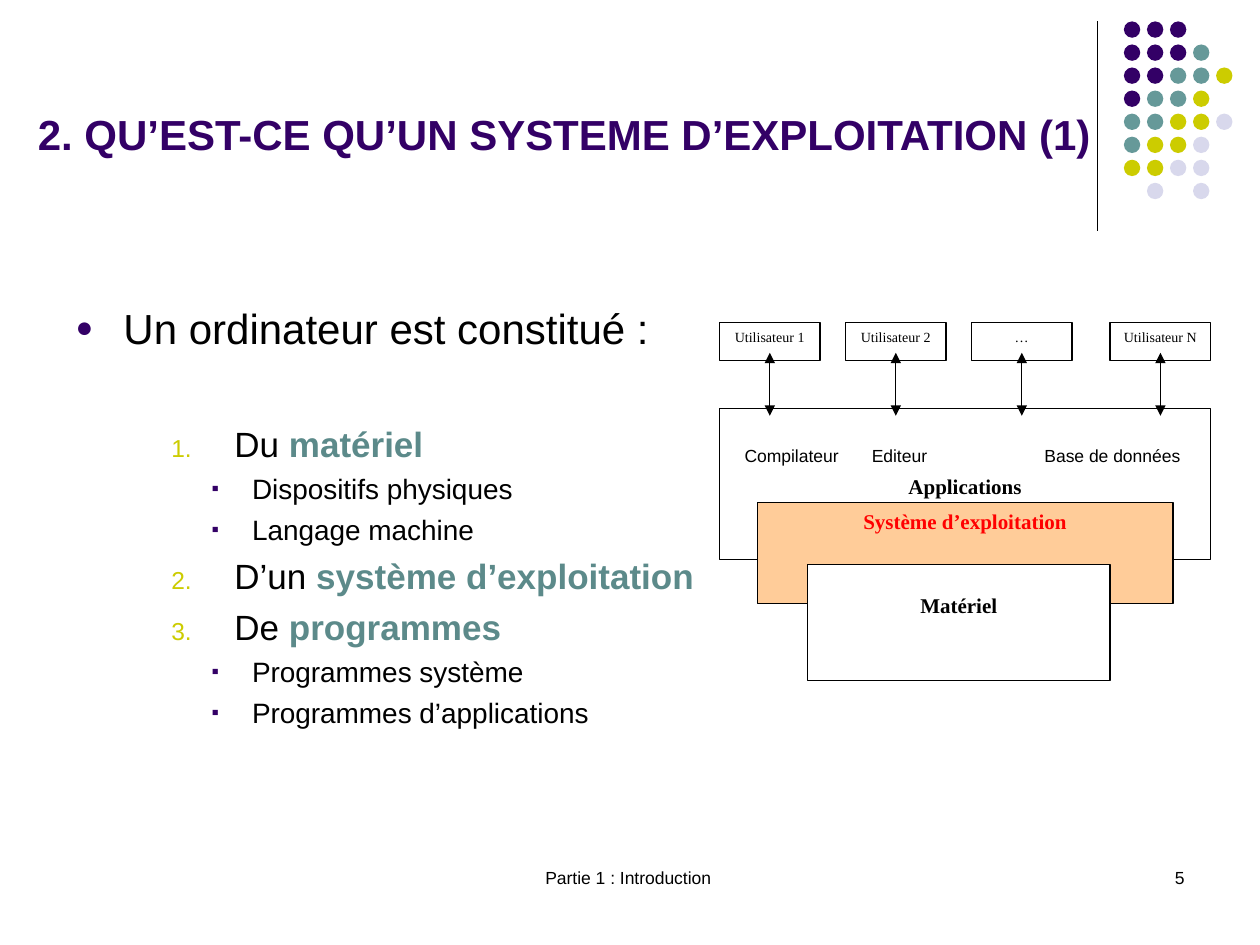
from lxml import etree
from pptx import Presentation
from pptx.dml.color import RGBColor
from pptx.enum.shapes import MSO_CONNECTOR, MSO_SHAPE
from pptx.enum.text import MSO_ANCHOR, MSO_AUTO_SIZE, PP_ALIGN
from pptx.oxml.ns import qn
from pptx.util import Inches, Pt

LEFT, CENTER, RIGHT = PP_ALIGN.LEFT, PP_ALIGN.CENTER, PP_ALIGN.RIGHT
TOP, BOTTOM = MSO_ANCHOR.TOP, MSO_ANCHOR.BOTTOM
RECT, OVAL = MSO_SHAPE.RECTANGLE, MSO_SHAPE.OVAL
STRAIGHT = MSO_CONNECTOR.STRAIGHT
NO_FIT = MSO_AUTO_SIZE.NONE
SANS, SERIF = "Arial", "Times New Roman"
PURPLE, TEAL, LIME, PALE = "330066", "669999", "CCCC00", "D8D8EC"
BLACK, WHITE, ACCENT = "000000", "FFFFFF", "5C8A8A"


def rgb(value):
    return RGBColor.from_string(value)


def sub(parent, tag, **attrs):
    return etree.SubElement(parent, qn(tag), {k: str(v) for k, v in attrs.items()})


def add_text(p, text, size=10, font=SANS, color=BLACK, bold=False,
             align=LEFT, before=0, after=0):
    """Add one formatted run to a paragraph."""
    p.alignment, p.line_spacing = align, 1.0
    p.space_before, p.space_after = Pt(before), Pt(after)
    r = p.add_run()
    r.text = text
    r.font.size, r.font.name, r.font.bold = Pt(size), font, bold
    r.font.color.rgb = rgb(color)


def set_tabs(p, stops):
    tabs = sub(p._p.get_or_add_pPr(), "a:tabLst")
    for stop in stops:
        sub(tabs, "a:tab", pos=Inches(stop), algn="l")


def set_bullet(p, color, percent, indent, hanging, char=None):
    """Use a character bullet, or a number when no character is given."""
    pPr = p._p.get_or_add_pPr()
    pPr.set("marL", str(Inches(indent)))
    pPr.set("indent", str(-Inches(hanging)))
    sub(sub(pPr, "a:buClr"), "a:srgbClr", val=color)
    sub(pPr, "a:buSzPct", val=percent * 1000)
    sub(pPr, "a:buFont", typeface=SANS)
    if char:
        sub(pPr, "a:buChar", char=char)
    else:
        sub(pPr, "a:buAutoNum", type="arabicPeriod")


class Deck:
    line_width = Pt(0.74)

    def __init__(self, prs):
        self.s = prs.slides.add_slide(prs.slide_layouts[1])

    def frame(self, sp, anchor=TOP, inset_x=0.1, inset_top=0.05):
        tf = sp.text_frame
        tf.word_wrap, tf.auto_size, tf.vertical_anchor = True, NO_FIT, anchor
        tf.margin_left = tf.margin_right = Inches(inset_x)
        tf.margin_top, tf.margin_bottom = Inches(inset_top), Inches(0.05)
        return tf

    def placeholder(self, idx, x, y, w, h, **frame):
        sp = self.s.placeholders[idx]
        sp.left, sp.top, sp.width, sp.height = map(Inches, (x, y, w, h))
        return self.frame(sp, **frame)

    def label(self, text, x, y, w, h, align):
        sp = self.s.shapes.add_textbox(*map(Inches, (x, y, w, h)))
        add_text(self.frame(sp).paragraphs[0], text, align=align)

    def shape(self, kind, x, y, w, h, fill, outlined=True, **frame):
        sp = self.s.shapes.add_shape(kind, *map(Inches, (x, y, w, h)))
        sp.shadow.inherit = False
        sp.fill.solid()
        sp.fill.fore_color.rgb = rgb(fill)
        if outlined:
            sp.line.color.rgb, sp.line.width = rgb(BLACK), self.line_width
        else:
            sp.line.fill.background()
        return self.frame(sp, **frame)

    def vertical(self, x, y1, y2, arrows=False):
        sp = self.s.shapes.add_connector(STRAIGHT, *map(Inches, (x, y1, x, y2)))
        sp.line.color.rgb, sp.line.width = rgb(BLACK), self.line_width
        if arrows:
            for end in ("a:headEnd", "a:tailEnd"):
                sub(sp.line._ln, end, type="triangle")
        sub(sp._element.spPr, "a:effectLst")


prs = Presentation()
prs.slide_width, prs.slide_height = Inches(10), Inches(7.5)
deck = Deck(prs)

# Corner decoration
deck.vertical(8.71, 0.17, 1.83)
dot_colors = {"P": PURPLE, "T": TEAL, "L": LIME, "F": PALE}
dot_rows = ["PPP", "PPPT", "PPTTL", "PTTL", "TTLLF", "TLLF", "LLFF", " F F"]
for row, codes in enumerate(dot_rows):
    for col, code in enumerate(codes):
        if code in dot_colors:
            deck.shape(OVAL, 8.92 + col * 0.183, 0.17 + row * 0.183, 0.13, 0.13,
                       dot_colors[code], outlined=False)

# Title
tf = deck.placeholder(0, 0.2, 0.14, 8.92, 1.17, anchor=BOTTOM)
add_text(tf.paragraphs[0], "2. QU’EST-CE QU’UN SYSTEME D’EXPLOITATION (1)",
         size=24, color=PURPLE, bold=True)

# Outline: level, text, emphasised text, space before
outline = [
    (0, "Un ordinateur est constitué\u00a0:", "", 0),
    (1, "Du ", "matériel", 40),
    (2, "Dispositifs physiques", "", 4),
    (2, "Langage machine", "", 4),
    (1, "D’un ", "système d’exploitation", 5),
    (1, "De ", "programmes", 5),
    (2, "Programmes système", "", 4),
    (2, "Programmes d’applications", "", 4),
]
sizes = [24, 20, 16]
bullets = [(PURPLE, 70, 0.38, 0.38, "●"), (LIME, 70, 1.26, 0.5),
           (PURPLE, 75, 1.4, 0.32, "▪")]
tf = deck.placeholder(1, 0.5, 1.88, 5.44, 4.29, inset_top=0.52)
for i, (level, text, strong, before) in enumerate(outline):
    p = tf.add_paragraph() if i else tf.paragraphs[0]
    p.level = level
    add_text(p, text, size=sizes[level], before=before)
    if strong:
        add_text(p, strong, size=sizes[level], color=ACCENT, bold=True, before=before)
    set_bullet(p, *bullets[level])

# System layers
heading = dict(size=12, font=SERIF, bold=True, align=CENTER)
tf = deck.shape(RECT, 5.71, 3.24, 3.9, 1.2, WHITE, inset_x=0.2, inset_top=0.29)
p = tf.paragraphs[0]
add_text(p, "Compilateur\tEditeur\tBase de données", after=4.2)
set_tabs(p, [1.01, 2.38])
add_text(tf.add_paragraph(), "Applications", **heading)
tf = deck.shape(RECT, 6.01, 3.99, 3.3, 0.8, "FFCC99")
add_text(tf.paragraphs[0], "Système d’exploitation", color="FF0000", **heading)
tf = deck.shape(RECT, 6.41, 4.48, 2.4, 0.92, WHITE, inset_top=0.22)
add_text(tf.paragraphs[0], "Matériel", **heading)

# Users and their links to the applications
users = [("Utilisateur 1", 5.71), ("Utilisateur 2", 6.71), ("…", 7.71),
         ("Utilisateur N", 8.81)]
for name, x in users:
    tf = deck.shape(RECT, x, 2.56, 0.8, 0.3, WHITE)
    add_text(tf.paragraphs[0], name, size=8, font=SERIF, align=CENTER)
    deck.vertical(x + 0.4, 2.8, 3.3, arrows=True)

# Footer
deck.label("Partie 1 : Introduction ", 3.42, 6.83, 3.17, 0.5, CENTER)
deck.label("5", 7.17, 6.83, 2.33, 0.5, RIGHT)

prs.save("out.pptx")
